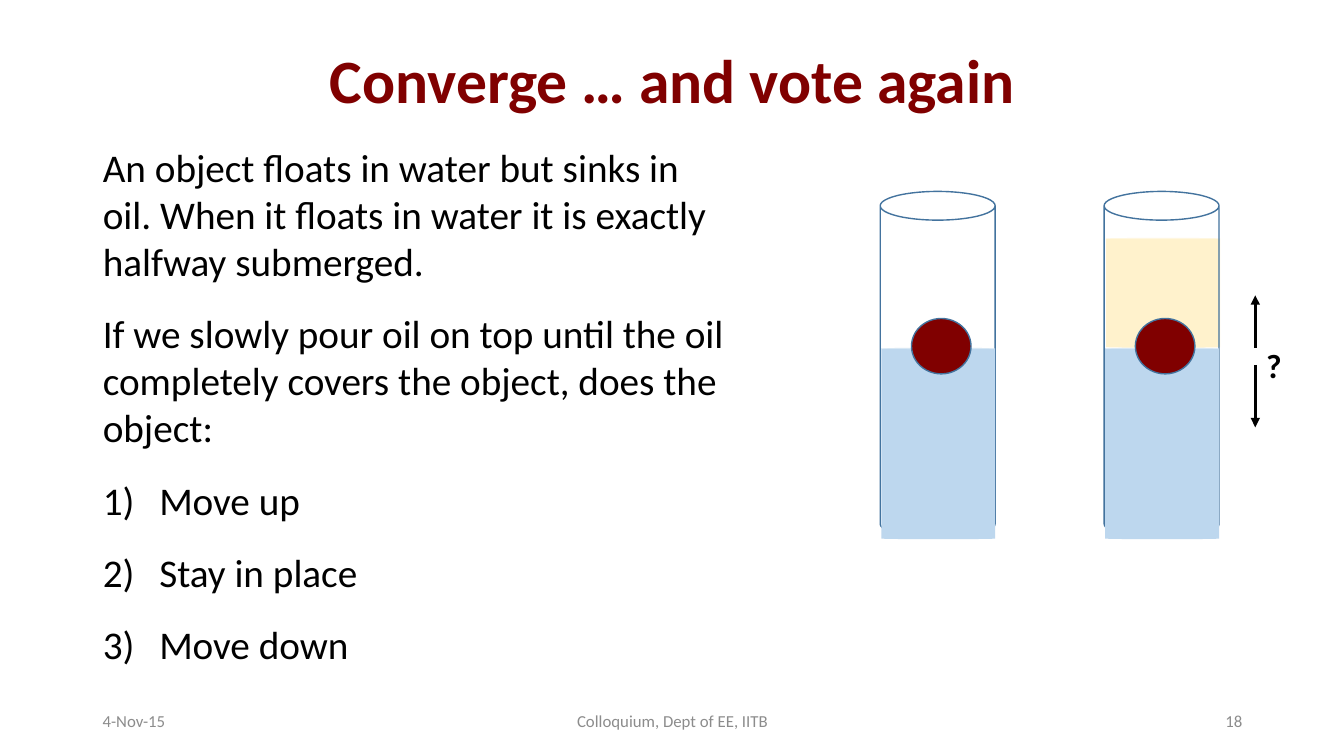
from dataclasses import dataclass
from lxml import etree
from pptx import Presentation
from pptx import util as u
from pptx.dml.color import RGBColor
from pptx.enum import shapes, text
from pptx.oxml.ns import qn

TITLE = ("Converge … and vote again", (6.9, 3.87, 86.27, 14.4))
BODY = (6.9, 18.27, 47.94, 74.53)
TEXT = [
    "An object floats in water but sinks in oil. When it floats in water it is exactly halfway submerged.",
    "If we slowly pour oil on top until the oil completely covers the object, does the object:",
]
PICKS = ["Move up", "Stay in place", "Move down"]
LEFT, MID, RIGHT = text.PP_ALIGN.LEFT, text.PP_ALIGN.CENTER, text.PP_ALIGN.RIGHT
FOOT = [
    ("4-Nov-15", 6.9, 22.5, LEFT),
    ("Colloquium, Dept of EE, IITB", 33.16, 33.76, MID),
    ("18", 70.67, 22.5, RIGHT),
]
TUBES = [65.49, 82.15]
TUBE = (0, 25.33, 8.55, 45.87)
WATER = (0.08, 46, 8.48, 25.33)
BALL = (2.33, 42.13, 4.43, 7.33)
OIL = (0.15, 31.47, 8.48, 14.53)
ARROWS = [(46, 39.07), (48.27, 56.53)]
AXIS = 93.4
ASK = ("?", (93.47, 44.93, 3.23, 6.67))


@dataclass
class Theme:
    font: str = "Calibri"
    red: str = "800000"
    ink: str = "000000"
    gray: str = "8C8C8C"
    edge: str = "43739E"
    water: str = "BDD7EE"
    oil: str = "FFF2CC"
    head: int = 44
    body: int = 28
    mark: int = 24
    foot: int = 12


look = Theme()
deck = Presentation()
deck.slide_width, deck.slide_height = u.Inches(13.33), u.Inches(7.5)
slide = deck.slides.add_slide(deck.slide_layouts[1])


def across(share):
    return int(deck.slide_width * share / 100)


def down(share):
    return int(deck.slide_height * share / 100)


def place(box):
    x, y, w, h = box
    return across(x), down(y), across(w), down(h)


def move(item, box):
    item.left, item.top, item.width, item.height = place(box)


def write(para, words, size, color, bold=False):
    run = para.add_run()
    run.text = words
    font = run.font
    font.name, font.size, font.bold = look.font, u.Pt(size), bold
    font.color.rgb = RGBColor.from_string(color)


def label(words, box, size, color, align=LEFT, bold=False, anchor=text.MSO_ANCHOR.TOP):
    frame = slide.shapes.add_textbox(*place(box)).text_frame
    frame.word_wrap = True
    frame.vertical_anchor = anchor
    para = frame.paragraphs[0]
    para.alignment = align
    write(para, words, size, color, bold)


def draw(kind, base, box, fill=None, edge=None, rim=None):
    x, y, w, h = box
    item = slide.shapes.add_shape(kind, *place((base + x, y, w, h)))
    item.shadow.inherit = False
    if rim is not None:
        item.adjustments[0] = rim
    if fill:
        item.fill.solid()
        item.fill.fore_color.rgb = RGBColor.from_string(fill)
    else:
        item.fill.background()
    if edge:
        item.line.color.rgb = RGBColor.from_string(edge)
        item.line.width = u.Pt(1)
    else:
        item.line.fill.background()


def arrow(start, end):
    line = slide.shapes.add_connector(
        shapes.MSO_CONNECTOR.STRAIGHT, across(AXIS), down(start), across(AXIS), down(end))
    line.line.color.rgb = RGBColor.from_string(look.ink)
    line.line.width = u.Pt(2.25)
    etree.SubElement(line.line._get_or_add_ln(), qn("a:tailEnd"), type="triangle")
    etree.SubElement(line._element.spPr, qn("a:effectLst"))


def fill_title():
    words, box = TITLE
    title = slide.shapes.title
    move(title, box)
    frame = title.text_frame
    frame.auto_size = text.MSO_AUTO_SIZE.NONE
    frame.vertical_anchor = text.MSO_ANCHOR.MIDDLE
    para = frame.paragraphs[0]
    para.alignment = MID
    para.line_spacing = 0.9
    write(para, words, look.head, look.red, True)


def fill_body():
    body = slide.placeholders[1]
    move(body, BODY)
    frame = body.text_frame
    frame.auto_size = text.MSO_AUTO_SIZE.NONE
    for i, words in enumerate(TEXT + PICKS):
        para = frame.paragraphs[0] if i == 0 else frame.add_paragraph()
        para.space_before = u.Pt(18 if i else 0)
        props = para._p.get_or_add_pPr()
        pick = i >= len(TEXT)
        inset = u.Inches(0.56) if pick else 0
        props.set("marL", str(inset))
        props.set("indent", str(-inset))
        if pick:
            etree.SubElement(props, qn("a:buFont"), typeface=look.font)
            etree.SubElement(props, qn("a:buAutoNum"), type="arabicParenR")
        else:
            etree.SubElement(props, qn("a:buNone"))
        write(para, words, look.body, look.ink)


def main():
    fill_title()
    fill_body()
    for words, x, w, align in FOOT:
        label(words, (x, 92.67, w, 5.33), look.foot, look.gray, align,
              anchor=text.MSO_ANCHOR.MIDDLE)
    can, ball = shapes.MSO_SHAPE.CAN, shapes.MSO_SHAPE.OVAL
    draw(can, TUBES[1], OIL, fill=look.oil, rim=0.012)
    for base in TUBES:
        draw(can, base, TUBE, edge=look.edge)
        draw(can, base, WATER, fill=look.water, rim=0.012)
        draw(ball, base, BALL, fill=look.red, edge=look.edge)
    for start, end in ARROWS:
        arrow(start, end)
    label(*ASK, look.mark, look.ink, bold=True)
    deck.save("out.pptx")


if __name__ == "__main__":
    main()
